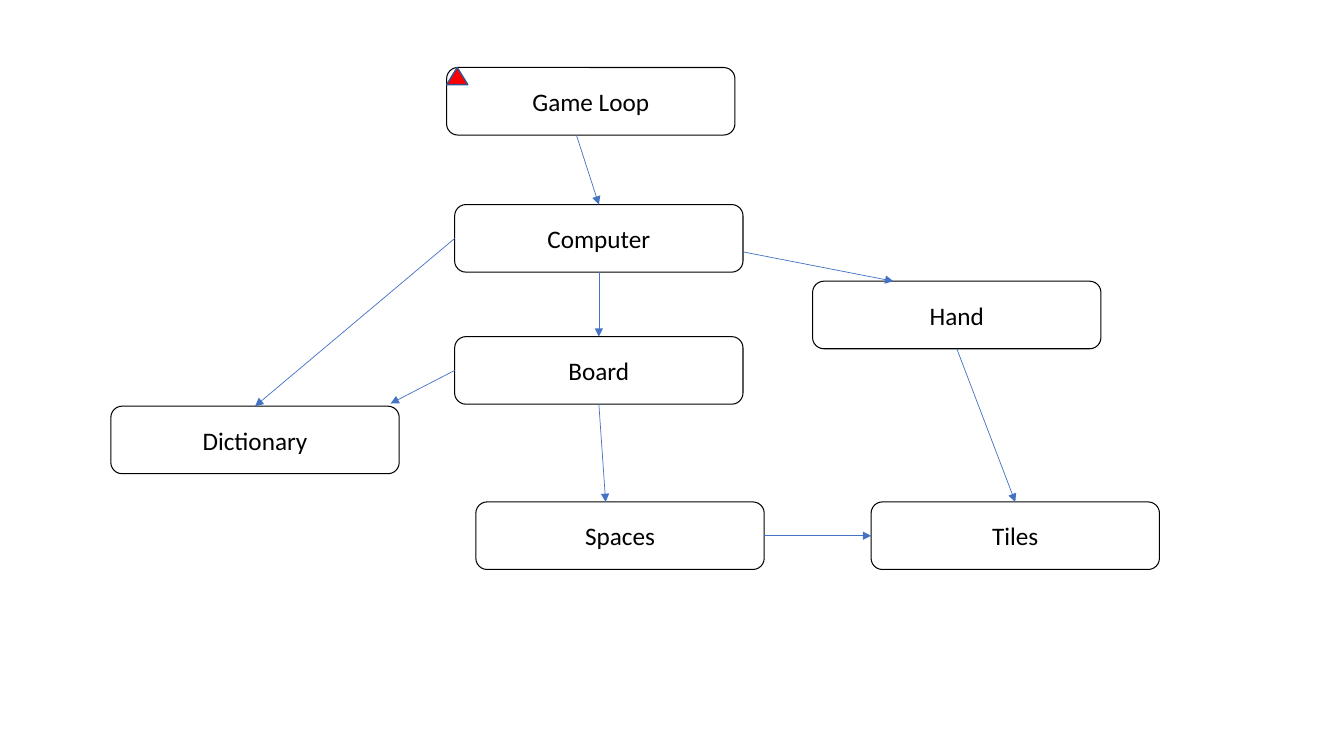
import dataclasses

import pptx
import pptx.dml.color
import pptx.enum.shapes
import pptx.enum.text
import pptx.oxml
import pptx.oxml.ns
import pptx.util

Inches = pptx.util.Inches
Shapes = pptx.enum.shapes.MSO_SHAPE


@dataclasses.dataclass(frozen=True)
class Theme:
    font: str = "Calibri"
    text_size: float = 18
    text_color: str = "000000"
    box_line: str = "000000"
    box_line_width: float = 0.75
    arrow_color: str = "4472C4"
    arrow_width: float = 0.5
    marker_fill: str = "FF0000"
    marker_line: str = "325491"
    marker_line_width: float = 1


def rgb(color):
    return pptx.dml.color.RGBColor.from_string(color)


def write_text(shape, text, *, font, size, color):
    """Put one centred line of formatted text in a shape."""
    frame = shape.text_frame
    frame.word_wrap = True
    frame.vertical_anchor = pptx.enum.text.MSO_ANCHOR.MIDDLE
    paragraph = frame.paragraphs[0]
    paragraph.alignment = pptx.enum.text.PP_ALIGN.CENTER
    run = paragraph.add_run()
    run.text = text
    run.font.name = font
    run.font.size = pptx.util.Pt(size)
    run.font.color.rgb = rgb(color)


class Diagram:
    BOX_WIDTH, BOX_HEIGHT = 2.86, 0.67
    # Edge midpoints, as fractions of the box, and their connection sites
    SITES = {(0.5, 0): 0, (0, 0.5): 1, (0.5, 1): 2, (1, 0.5): 3}

    def __init__(self, slide, theme):
        self.slide = slide
        self.theme = theme
        self.boxes = {}

    def set_line(self, shape, color, width):
        shape.line.color.rgb = rgb(color)
        shape.line.width = pptx.util.Pt(width)

    def add_box(self, name, left, top):
        box = self.slide.shapes.add_shape(
            Shapes.ROUNDED_RECTANGLE, Inches(left), Inches(top),
            Inches(self.BOX_WIDTH), Inches(self.BOX_HEIGHT))
        box.shadow.inherit = False
        box.fill.background()
        self.set_line(box, self.theme.box_line, self.theme.box_line_width)
        write_text(box, name, font=self.theme.font,
                   size=self.theme.text_size, color=self.theme.text_color)
        self.boxes[name] = box

    def locate(self, name, point):
        box = self.boxes[name]
        return (round(box.left + point[0] * box.width),
                round(box.top + point[1] * box.height))

    def add_arrow(self, source, source_point, target, target_point):
        arrow = self.slide.shapes.add_connector(
            pptx.enum.shapes.MSO_CONNECTOR.STRAIGHT,
            *self.locate(source, source_point),
            *self.locate(target, target_point))
        # Attach the ends that lie on an edge midpoint
        if source_point in self.SITES:
            arrow.begin_connect(self.boxes[source], self.SITES[source_point])
        if target_point in self.SITES:
            arrow.end_connect(self.boxes[target], self.SITES[target_point])
        self.set_line(arrow, self.theme.arrow_color, self.theme.arrow_width)
        # Arrowhead, and no shadow
        line = arrow.line._get_or_add_ln()
        head = pptx.oxml.parse_xml(
            f'<a:tailEnd {pptx.oxml.ns.nsdecls("a")} type="triangle"/>')
        line.append(head)
        line.addnext(pptx.oxml.parse_xml(
            f'<a:effectLst {pptx.oxml.ns.nsdecls("a")}/>'))

    def add_marker(self, name, width, height):
        """Place a triangle in the top left corner of a box."""
        box = self.boxes[name]
        marker = self.slide.shapes.add_shape(
            Shapes.ISOSCELES_TRIANGLE, box.left, box.top,
            Inches(width), Inches(height))
        marker.shadow.inherit = False
        marker.fill.solid()
        marker.fill.fore_color.rgb = rgb(self.theme.marker_fill)
        self.set_line(marker, self.theme.marker_line,
                      self.theme.marker_line_width)


TOP, LEFT, BOTTOM, RIGHT = Diagram.SITES

# Box name, left, top
BOXES = [
    ("Game Loop", 4.43, 0.67),
    ("Board", 4.51, 3.34),
    ("Computer", 4.51, 2.03),
    ("Spaces", 4.72, 4.98),
    ("Hand", 8.06, 2.79),
    ("Dictionary", 1.1, 4.03),
    ("Tiles", 8.64, 4.98),
]

# Source, point on it, target, point on it
ARROWS = [
    ("Game Loop", (0.45, 1), "Computer", TOP),
    ("Computer", (1, 0.7), "Hand", (0.28, 0)),
    ("Computer", BOTTOM, "Board", TOP),
    ("Computer", LEFT, "Dictionary", TOP),
    ("Board", LEFT, "Dictionary", (0.97, -0.04)),
    ("Board", BOTTOM, "Spaces", (0.45, 0)),
    ("Hand", BOTTOM, "Tiles", TOP),
    ("Spaces", RIGHT, "Tiles", LEFT),
]


def main():
    presentation = pptx.Presentation()
    presentation.slide_width = Inches(13.33)
    presentation.slide_height = Inches(7.5)
    blank_layout = presentation.slide_layouts[6]
    diagram = Diagram(presentation.slides.add_slide(blank_layout), Theme())

    # Components
    for box in BOXES:
        diagram.add_box(*box)

    # Dependencies
    for arrow in ARROWS:
        diagram.add_arrow(*arrow)

    # Entry point
    diagram.add_marker("Game Loop", 0.21, 0.17)

    presentation.save("out.pptx")


if __name__ == "__main__":
    main()
